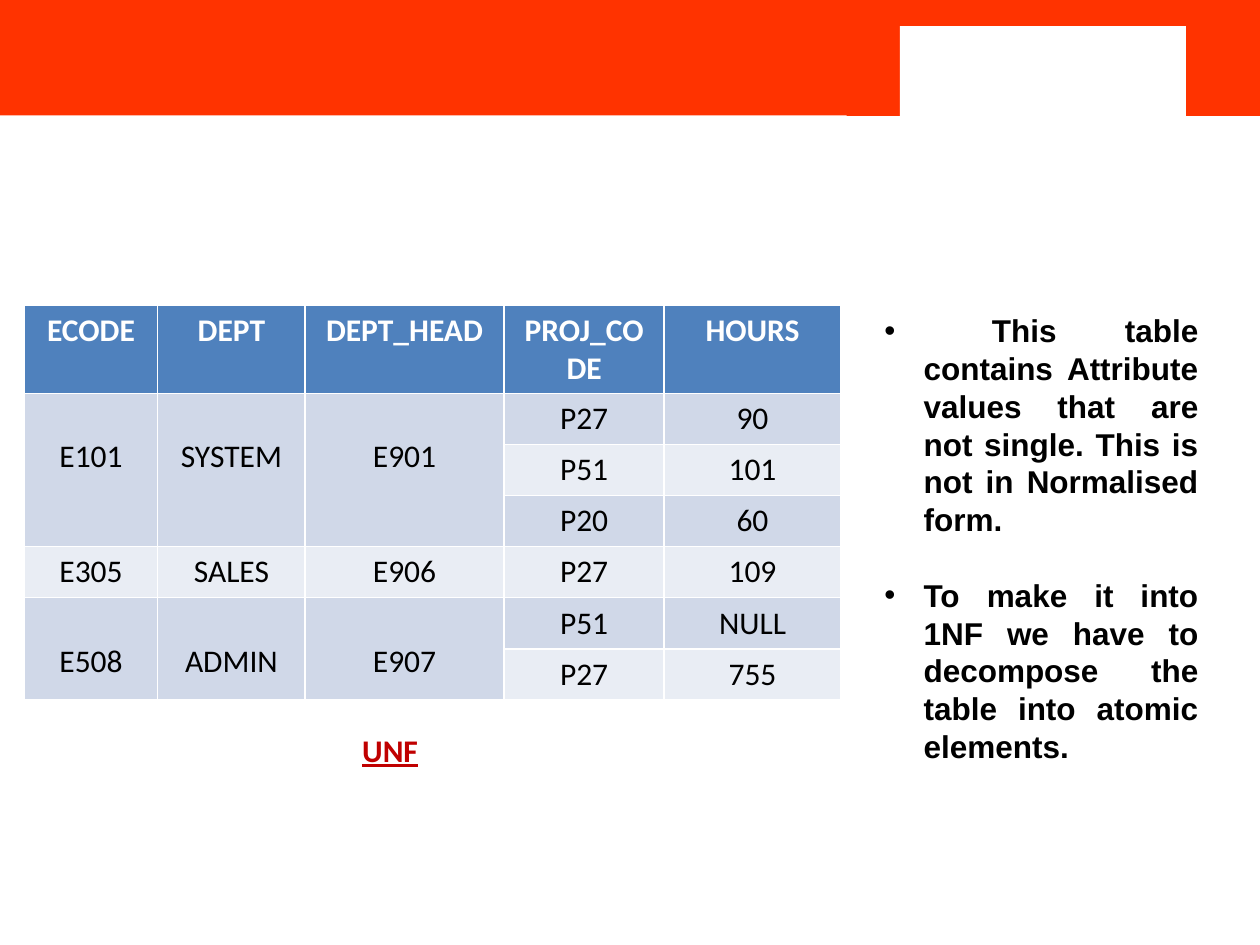
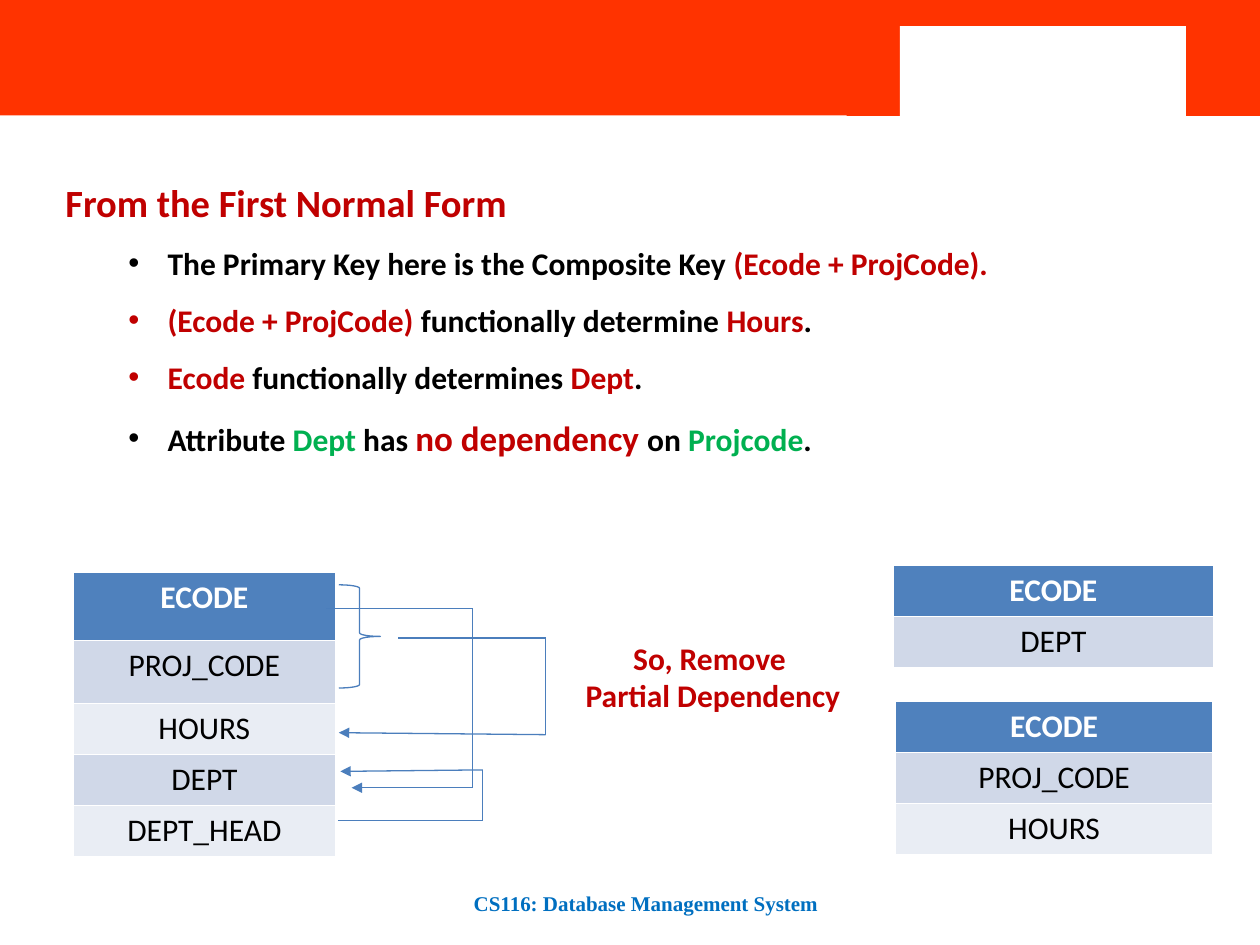
from pptx import Presentation
from pptx import util as u
from pptx.dml import color
from pptx.enum import shapes, text
from pptx.oxml import ns
from lxml import etree

RED, GREEN, BLACK, WHITE = "C00000", "00B050", "000000", "FFFFFF"
BAND, HEAD, LINE, FOOT = "FF3300", "4F81BD", "4B7EBC", "006FC0"
STRIPES = ("E9EDF4", "D0D8E8")
BASE = {"name": "Calibri", "size": 18, "bold": True, "color": BLACK}
CENTER = text.PP_ALIGN.CENTER
SHAPE = shapes.MSO_SHAPE


def ink(code):
    return color.RGBColor.from_string(code)


def paint(fill, code):
    fill.solid()
    fill.fore_color.rgb = ink(code)


def style(font, **extra):
    for key, value in {**BASE, **extra}.items():
        if key == "color":
            font.color.rgb = ink(value)
        else:
            setattr(font, key, u.Pt(value) if key == "size" else value)


def write(para, runs, fmt=None, **layout):
    for key, value in layout.items():
        setattr(para, key, value)
    for words, extra in runs:
        run = para.add_run()
        run.text = words
        style(run.font, **{**(fmt or {}), **extra})


def bullet(para, left, hang):
    props = para._p.get_or_add_pPr()
    props.set("marL", str(u.Cm(left)))
    props.set("indent", str(-u.Cm(hang)))
    etree.SubElement(props, ns.qn("a:buFont")).set("typeface", "Arial")
    etree.SubElement(props, ns.qn("a:buChar")).set("char", "•")


def frame(slide, box, wrap=True, inset=None):
    body = slide.shapes.add_textbox(*map(u.Cm, box)).text_frame
    body.word_wrap = wrap
    if inset is not None:
        for side in ("left", "top", "right", "bottom"):
            setattr(body, "margin_" + side, u.Cm(inset))
    return body


def extend(body, index):
    return body.add_paragraph() if index else body.paragraphs[0]


def header(slide, box):
    left, top, width, height = box
    parts = [
        (0, 0, width, height, BAND),
        (17.07, 0, width - 17.07, height + 0.01, BAND),
        (18.14, 0.53, 5.77, 1.91, WHITE),
    ]
    for x, y, w, h, code in parts:
        block = slide.shapes.add_shape(SHAPE.RECTANGLE, *map(u.Cm, (left + x, top + y, w, h)))
        block.shadow.inherit = False
        block.line.fill.background()
        paint(block.fill, code)


def grid(slide, box, rows, cols, highs):
    size = (*box, sum(cols), sum(highs))
    table = slide.shapes.add_table(len(rows), len(cols), *map(u.Cm, size)).table
    for col, wide in zip(table.columns, cols):
        col.width = u.Cm(wide)
    for row, high in zip(table.rows, highs):
        row.height = u.Cm(high)
    for r, row in enumerate(rows):
        for c, words in enumerate(row):
            cell = table.cell(r, c)
            paint(cell.fill, STRIPES[r % 2] if r else HEAD)
            if words is None:
                continue
            fmt = {"bold": r == 0, "color": BLACK if r else WHITE}
            write(cell.text_frame.paragraphs[0], [(words, fmt)], alignment=CENTER)
            last = r
            while last + 1 < len(rows) and rows[last + 1][c] is None:
                last += 1
            if last > r:
                cell.merge(table.cell(last, c))
                cell.margin_top = u.Cm(0.9)


def remarks(slide, box, items):
    body = frame(slide, box)
    for i, words in enumerate(items):
        para = extend(body, i)
        bullet(para, 0.79, 0.79)
        write(para, [(words, {"name": "Arial"})], alignment=text.PP_ALIGN.JUSTIFY,
              line_spacing=u.Pt(21.6), space_before=u.Pt(21.6 if i else 0))


def label(slide, box, lines, **fmt):
    body = frame(slide, box, wrap=False)
    for i, words in enumerate(lines):
        write(extend(body, i), [(words, {"color": RED, **fmt})], alignment=CENTER)


def facts(slide, box, title, items):
    body = frame(slide, box)
    write(body.paragraphs[0], [(title, {"size": 22, "color": RED})], line_spacing=1.5)
    for runs in items:
        para = body.add_paragraph()
        bullet(para, 2.06, 0.79)
        write(para, runs, line_spacing=1.5)


def wire(slide, start, end, arrow):
    ends = map(u.Cm, (*start, *end))
    link = slide.shapes.add_connector(shapes.MSO_CONNECTOR.STRAIGHT, *ends)
    link.line.color.rgb = ink(LINE)
    link.line.width = u.Pt(0.75)
    if arrow:
        tail = etree.SubElement(link.line._get_or_add_ln(), ns.qn("a:tailEnd"))
        tail.set("type", "triangle")
    etree.SubElement(link._element.spPr, ns.qn("a:effectLst"))


def links(slide, box):
    left, top = box
    brace = slide.shapes.add_shape(SHAPE.RIGHT_BRACE, *map(u.Cm, (left + 0.25, top, 0.84, 2.08)))
    brace.shadow.inherit = False
    brace.fill.background()
    brace.line.color.rgb = ink(LINE)
    brace.line.width = u.Pt(0.75)
    routes = [
        [(0, 0.48), (2.95, 0.48), (2.95, 4.09), (0.51, 4.09)],
        [(1.45, 1.07), (4.42, 1.07), (4.42, 3.02), (0.25, 2.98)],
        [(0.23, 4.75), (3.15, 4.75), (3.15, 3.73), (0.28, 3.76)],
    ]
    for route in routes:
        spots = [(left + x, top + y) for x, y in route]
        for i, (start, end) in enumerate(zip(spots, spots[1:])):
            wire(slide, start, end, i == len(spots) - 2)


def footer(slide, box):
    body = frame(slide, box, inset=0)
    fmt = {"name": "Times New Roman", "size": 12, "color": FOOT}
    write(body.paragraphs[0], [("CS116: Database Management System", fmt)],
          line_spacing=u.Pt(14.1))


def start(deck):
    slide = deck.slides.add_slide(deck.slide_layouts[6])
    header(slide, (0, 0, 25.4, 2.33))
    return slide


def unform(deck):
    slide = start(deck)
    remarks(slide, (17.58, 6.15, 6.83, 9.5), [
        " This table contains Attribute values that are not single. This is not in Normalised form.",
        "To make it into 1NF we have to decompose the table into atomic elements.",
    ])
    rows = [
        ("ECODE", "DEPT", "DEPT_HEAD", "PROJ_CODE", "HOURS"),
        ("E101", "SYSTEM", "E901", "P27", "90"),
        (None, None, None, "P51", "101"),
        (None, None, None, "P20", "60"),
        ("E305", "SALES", "E906", "P27", "109"),
        ("E508", "ADMIN", "E907", "P51", "NULL"),
        (None, None, None, "P27", "755"),
    ]
    grid(slide, (0.49, 6.15), rows, (2.69, 2.97, 4.01, 3.23, 3.56), [1.03] * len(rows))
    label(slide, (7.04, 14.61, 1.65, 1.02), ["UNF"], underline=True)


def second(deck):
    slide = start(deck)
    footer(slide, (9.55, 17.96, 7.67, 0.69))
    red, green = {"color": RED}, {"color": GREEN}
    facts(slide, (1.07, 3.02, 21.79, 7.57), "From the First Normal Form", [
        [("The Primary Key here is the Composite Key ", {}), ("(Ecode + ProjCode).", red)],
        [("(Ecode + ProjCode) ", red), ("functionally determine ", {}), ("Hours", red), (".", {})],
        [("Ecode", red), (" functionally determines ", {}), ("Dept", red), (".", {})],
        [("Attribute ", {}), ("Dept", green), (" has ", {}),
         ("no dependency ", {"size": 20, **red}), ("on ", {}), ("Projcode", green), (".", {})],
    ])
    tables = [
        ((1.48, 11.54), 5.28, "ECODE PROJ_CODE HOURS DEPT DEPT_HEAD", (1.37, 1.27, 1.03, 1.03, 1.03)),
        ((18.01, 11.4), 6.45, "ECODE DEPT", (1.03, 1.03)),
        ((18.05, 14.14), 6.4, "ECODE PROJ_CODE HOURS", (1.03, 1.03, 1.03)),
    ]
    for box, wide, names, highs in tables:
        grid(slide, box, [(name,) for name in names.split()], (wide,), highs)
    links(slide, (6.58, 11.79))
    label(slide, (11.53, 12.75, 5.69, 1.8), ["So, Remove ", "Partial Dependency"])


def main():
    deck = Presentation()
    deck.slide_width, deck.slide_height = u.Cm(25.4), u.Cm(19.05)
    unform(deck)
    second(deck)
    deck.save("out.pptx")


if __name__ == "__main__":
    main()
